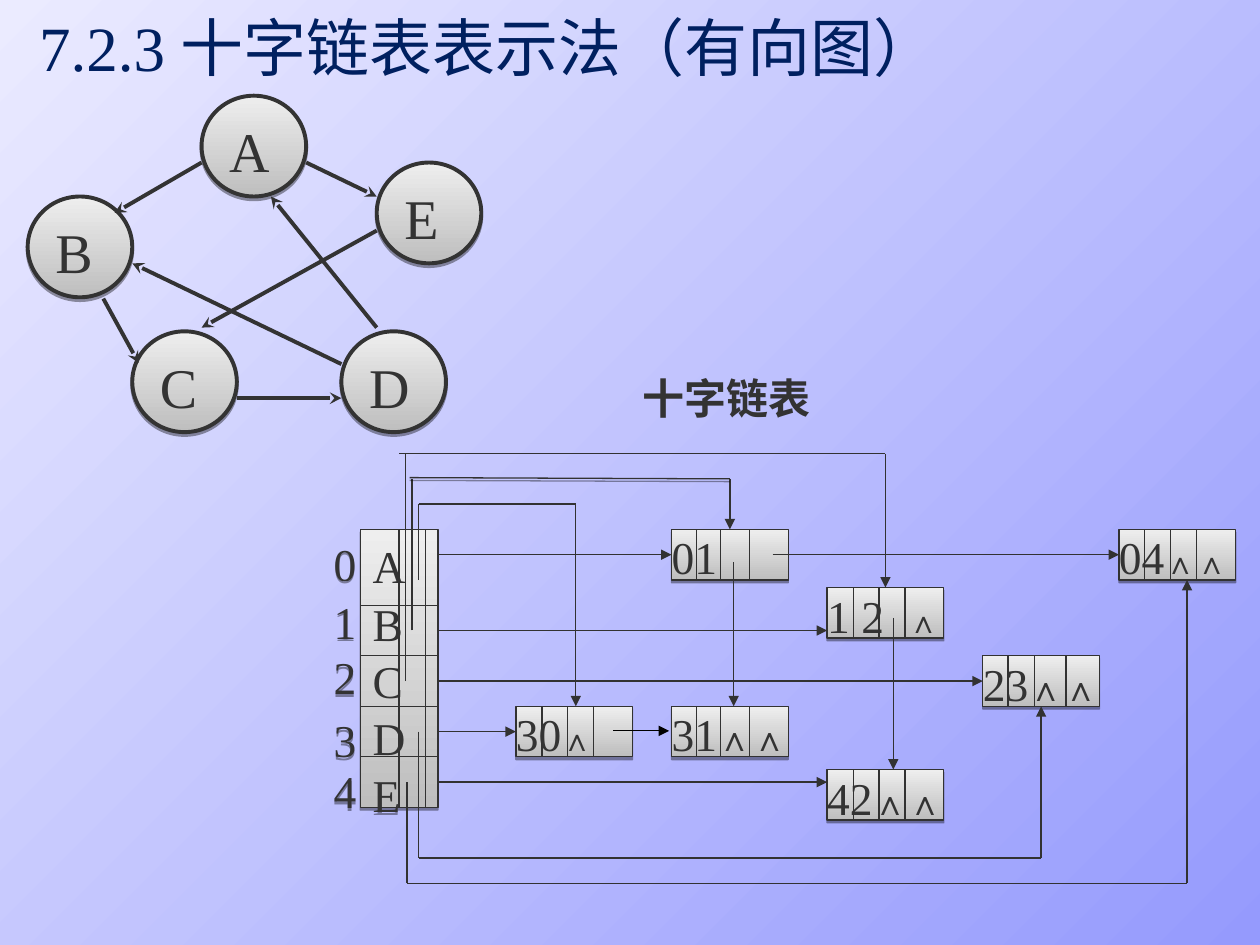
from itertools import pairwise

from lxml import etree
from pptx import Presentation
from pptx.dml.color import RGBColor
from pptx.enum.shapes import MSO_CONNECTOR, MSO_SHAPE
from pptx.enum.text import MSO_ANCHOR, PP_ALIGN
from pptx.oxml.ns import qn
from pptx.util import Inches, Pt

OVAL, RECT, STRAIGHT = MSO_SHAPE.OVAL, MSO_SHAPE.RECTANGLE, MSO_CONNECTOR.STRAIGHT
JUSTIFY, LEFT, TOP = PP_ALIGN.JUSTIFY, PP_ALIGN.LEFT, MSO_ANCHOR.TOP

FONT = "Times New Roman"
COLORS = {
    "sky": "EBEBFF", "violet": "959AFD", "title": "002060", "ink": "333333",
    "wire": "323232", "black": "000000", "dark": "BEBEBE", "light": "EEEEEE",
}
WIDTH, HEIGHT = 10, 7.5

# Directed graph, in inches
VERTEX_SIZE = (0.83, 0.8)
VERTICES = {"A": (1.6, 0.76), "B": (0.22, 1.56), "E": (2.99, 1.29),
            "C": (1.05, 2.63), "D": (2.71, 2.63)}
ARCS = [
    ((1.6, 1.29), (0.91, 1.69)), ((2.43, 1.29), (2.99, 1.56)),
    ((0.82, 2.37), (1.1, 2.88)), ((1.88, 3.16), (2.71, 3.16)),
    ((2.71, 2.89), (1.05, 2.09)), ((2.99, 2.6), (2.15, 1.56)),
    ((2.99, 1.83), (1.6, 2.6)),
]

# Orthogonal list, in columns and rows of a grid
GRID_LEFT, GRID_TOP = 2.55, 3.6
COL, ROW = 5.25 / 17, 3.41 / 17
HEADS = "ABCDE"
INDEX_ROWS = [3, 5.3, 7.5, 10, 12]
HEAD_DIVIDERS = [((1, row), (3, row)) for row in (6, 8, 10, 12)]
HEAD_DIVIDERS += [((col, 3), (col, 14)) for col in (2, 2.67)]
NODE_COLS, NODE_ROWS = 3, 2
# column, row, divider offsets in columns, runs of (text, size)
NODES = [
    (9, 3, (0.65, 1.26, 2), [("01", 26)]),
    (5, 10, (0.67, 1.33, 2), [("30", 26), ("∧", 18)]),
    (9, 10, (0.65, 1.26, 2), [("31", 26), ("∧∧", 20)]),
    (13, 5.3, (0.67, 1.33, 2), [("1 2", 26), ("\t∧", 18)]),
    (17, 8, (0.65, 1.33, 2.14), [("23", 26), ("∧∧", 20)]),
    (20.5, 3, (0.65, 1.33, 2), [("04", 26), ("∧∧", 18)]),
    (13, 12.5, (0.67, 1.33, 2), [("42", 26), ("∧∧", 20)]),
]
OUT_ARROWS = [
    ((3, 4), (9, 4)), ((3, 7), (13, 7)), ((3, 9), (17, 9)),
    ((3, 11), (5, 11)), ((3, 13), (13, 13)), ((11.6, 4), (20.5, 4)),
]
IN_ARROWS = [
    ((2.5, 5), (2.5, 2), (6.54, 2), (6.54, 10)),
    ((10.5, 1), (10.5, 3)),
    ((2, 0), (14.5, 0), (14.5, 5.3)),
    ((2.5, 11), (2.5, 16), (18.5, 16), (18.5, 10)),
    ((2.2, 13), (2.2, 17), (22.25, 17), (22.25, 5)),
    ((10.6, 4.3), (10.6, 10)), ((14.7, 6.5), (14.7, 12.5)),
]
STEMS = [((2.33, 7), (2.33, 1)), ((2.17, 9), (2.17, 0))]
TOP_EDGE = [(2.27, 0.95), (10.5, 1)]
LAST_ARROW = ((7.5, 10.97), (8.94, 10.97))


def rgb(name):
    return RGBColor.from_string(COLORS[name])


def grid(col, row):
    return GRID_LEFT + col * COL, GRID_TOP + row * ROW


def shade(fill, first, last, angle):
    fill.gradient()
    fill.gradient_angle = angle
    for stop, name in zip(fill.gradient_stops, (first, last)):
        stop.color.rgb = rgb(name)


def drop_shadow(shape):
    shape.shadow.inherit = False
    effects = shape._element.spPr.find(qn("a:effectLst"))
    outer = etree.SubElement(effects, qn("a:outerShdw"), dist="20320", dir="5400000",
                             blurRad="0", rotWithShape="0")
    color = etree.SubElement(outer, qn("a:srgbClr"), val=COLORS["black"])
    etree.SubElement(color, qn("a:alpha"), val="38000")


def style_box(shape, line, weight):
    shade(shape.fill, "dark", "light", 90)
    shape.line.color.rgb = rgb(line)
    shape.line.width = Pt(weight)
    drop_shadow(shape)


def write(shape, paragraphs, color="ink", bold=False, align=JUSTIFY,
          insets=(0.1, 0.05), wrap=True, spacing=None, tab=None):
    """Fill a shape with paragraphs, each a list of (text, size) runs."""
    frame = shape.text_frame
    frame.word_wrap, frame.vertical_anchor = wrap, TOP
    frame.margin_left = frame.margin_right = Inches(insets[0])
    frame.margin_top = frame.margin_bottom = Inches(insets[1])
    for number, runs in enumerate(paragraphs):
        paragraph = frame.add_paragraph() if number else frame.paragraphs[0]
        paragraph.alignment, paragraph.line_spacing = align, spacing
        if tab:
            tabs = etree.SubElement(paragraph._p.get_or_add_pPr(), qn("a:tabLst"))
            etree.SubElement(tabs, qn("a:tab"), pos=str(Inches(tab)), algn="l")
        for text, size in runs:
            run = paragraph.add_run()
            run.text = text
            run.font.name, run.font.size, run.font.bold = FONT, Pt(size), bold
            run.font.color.rgb = rgb(color)


def add_lines(shapes, points, head=None, color="wire", weight=0.75):
    """Join the points by straight connectors, the last one with the arrowhead."""
    for start, end in pairwise(points):
        line = shapes.add_connector(STRAIGHT, *map(Inches, (*start, *end)))
        line.line.color.rgb = rgb(color)
        line.line.width = Pt(weight)
        etree.SubElement(line._element.spPr, qn("a:effectLst"))
    if head:
        etree.SubElement(line.line._get_or_add_ln(), qn("a:tailEnd"), type=head)


def add_wire(shapes, points, **style):
    add_lines(shapes, [grid(*point) for point in points], **style)


def add_text(shapes, box, paragraphs, **style):
    label = shapes.add_textbox(*map(Inches, box))
    write(label, paragraphs, **style)
    return label


def add_box(shapes, kind, box, paragraphs, line="wire", weight=0.75, **style):
    shape = shapes.add_shape(kind, *map(Inches, box))
    style_box(shape, line, weight)
    write(shape, paragraphs, **style)


def draw_graph(shapes):
    for name, corner in VERTICES.items():
        add_box(shapes, OVAL, (*corner, *VERTEX_SIZE), [[(name, 32)]], "ink", 2.25)
    for arc in ARCS:
        add_lines(shapes, arc, head="stealth", color="ink", weight=2.25)


def draw_orthogonal_list(shapes):
    for index, row in enumerate(INDEX_ROWS):
        drop_shadow(add_text(shapes, (*grid(0, row), COL, 3 * ROW), [[(str(index), 26)]]))
    add_box(shapes, RECT, (*grid(1, 3), 2 * COL, 11 * ROW),
            [[(head, 26)] for head in HEADS], spacing=1.05)
    for col, row, dividers, runs in NODES:
        add_box(shapes, RECT, (*grid(col, row), NODE_COLS * COL, NODE_ROWS * ROW),
                [runs], insets=(0, 0), tab=0.64)
        for offset in dividers:
            add_wire(shapes, [(col + offset, row), (col + offset, row + NODE_ROWS)])
    for points in HEAD_DIVIDERS + STEMS:
        add_wire(shapes, points)
    for points in OUT_ARROWS + IN_ARROWS:
        add_wire(shapes, points, head="triangle")
    add_wire(shapes, LAST_ARROW, head="triangle", color="black")

    start, end = (tuple(map(Inches, grid(*point))) for point in TOP_EDGE)
    builder = shapes.build_freeform(*start)
    builder.add_line_segments([end], close=False)
    style_box(builder.convert_to_shape(), "wire", 0.75)


def main():
    deck = Presentation()
    deck.slide_width, deck.slide_height = Inches(WIDTH), Inches(HEIGHT)
    slide = deck.slides.add_slide(deck.slide_layouts[6])
    shade(slide.background.fill, "sky", "violet", 315)
    heading = {"align": LEFT, "insets": (0, 0)}
    add_text(slide.shapes, (0.31, 0.07, 7.25, 0.6),
             [[("7.2.3 十字链表表示法（有向图）", 36)]], color="title", wrap=False, **heading)
    draw_graph(slide.shapes)
    add_text(slide.shapes, (5.1, 2.96, 2.92, 0.4), [[("十字链表", 24)]], bold=True, **heading)
    draw_orthogonal_list(slide.shapes)
    deck.save("out.pptx")


if __name__ == "__main__":
    main()
